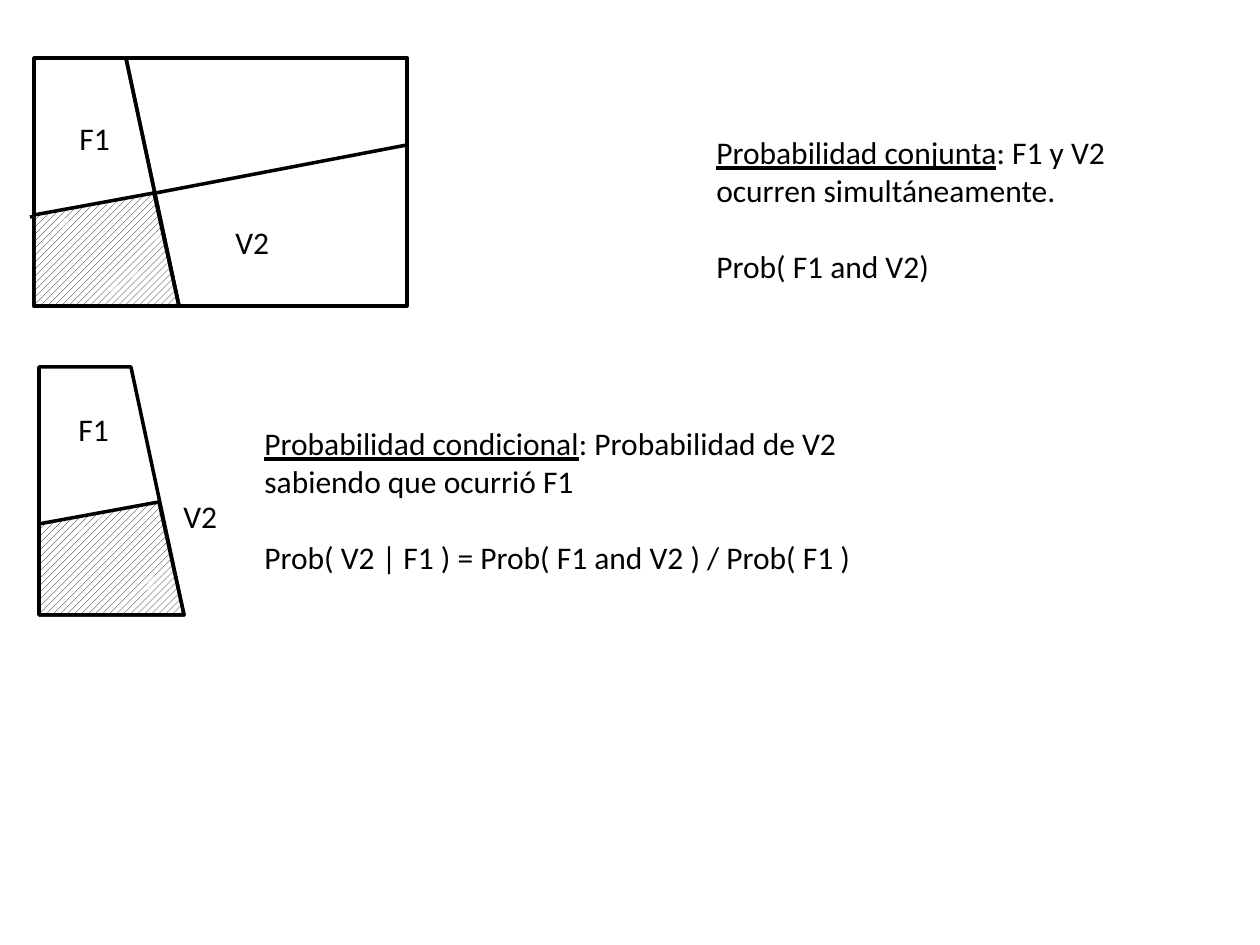
from dataclasses import dataclass

from lxml.etree import SubElement
from pptx import Presentation
from pptx.dml.color import RGBColor
from pptx.enum.dml import MSO_PATTERN
from pptx.enum.shapes import MSO_CONNECTOR, MSO_SHAPE
from pptx.enum.text import MSO_AUTO_SIZE
from pptx.oxml.ns import qn
from pptx.util import Emu, Inches, Pt

PX = Inches(1) // 126


@dataclass(frozen=True)
class Theme:
    ink: RGBColor = RGBColor(0, 0, 0)
    paper: RGBColor = RGBColor(255, 255, 255)
    font: str = "Calibri"
    text_size: Pt = Pt(18)
    blank_line: Pt = Pt(22)
    line_width: Pt = Pt(2)


THEME = Theme()

# Outlines relative to the top left corner of a diagram
F1_REGION = [(0, 0), (92, 0), (145, 248), (0, 248)]
F1_AND_V2_REGION = [(0, 157), (120, 135), (145, 248), (0, 248)]


def px(value):
    return Emu(value * PX)


def style_line(line):
    line.color.rgb = THEME.ink
    line.width = THEME.line_width


def style_font(paragraph):
    paragraph.font.name = THEME.font
    paragraph.font.size = THEME.text_size
    paragraph.font.color.rgb = THEME.ink


def add_line(slide, start, end):
    connector = slide.shapes.add_connector(
        MSO_CONNECTOR.STRAIGHT, *(px(value) for value in (*start, *end)))
    style_line(connector.line)
    SubElement(connector._element.spPr, qn("a:effectLst"))


def add_region(slide, left, top, points, hatched=False):
    builder = slide.shapes.build_freeform(*points[0], scale=PX)
    builder.add_line_segments(points[1:], close=True)
    shape = builder.convert_to_shape(px(left), px(top))
    shape.shadow.inherit = False
    style_line(shape.line)
    if hatched:
        shape.fill.patterned()
        shape.fill.pattern = MSO_PATTERN.WIDE_UPWARD_DIAGONAL
        shape.fill.fore_color.rgb = THEME.ink
        shape.fill.back_color.rgb = THEME.paper
    else:
        shape.fill.background()


def add_text_frame(slide, left, top, width, height, wrap):
    box = slide.shapes.add_textbox(px(left), px(top), px(width), px(height))
    box.text_frame.word_wrap = wrap
    box.text_frame.auto_size = MSO_AUTO_SIZE.SHAPE_TO_FIT_TEXT
    return box.text_frame


def add_label(slide, left, top, text):
    frame = add_text_frame(slide, left, top, 61, 50, wrap=False)
    paragraph = frame.paragraphs[0]
    paragraph.text = text
    style_font(paragraph)


def add_joint_diagram(slide, left, top, width, height):
    # Whole sample space
    frame = slide.shapes.add_shape(
        MSO_SHAPE.RECTANGLE, px(left), px(top), px(width), px(height))
    frame.shadow.inherit = False
    frame.fill.background()
    style_line(frame.line)
    # Dividing lines
    add_line(slide, (left + 92, top), (left + 145, top + height))
    add_line(slide, (left - 4, top + 159), (left + width, top + 87))
    # Regions and their labels
    add_region(slide, left, top, F1_AND_V2_REGION, hatched=True)
    add_region(slide, left, top, F1_REGION)
    add_label(slide, left + 33, top + 55, "F1")
    add_label(slide, left + 189, top + 159, "V2")


def add_conditional_diagram(slide, left, top):
    add_region(slide, left, top, F1_REGION)
    add_region(slide, left, top, F1_AND_V2_REGION, hatched=True)
    add_label(slide, left + 27, top + 37, "F1")
    add_label(slide, left + 132, top + 124, "V2")


def add_definition(slide, left, top, width, height, term, meaning, formula):
    frame = add_text_frame(slide, left, top, width, height, wrap=True)
    # Underlined term and its meaning
    definition = frame.paragraphs[0]
    term_run = definition.add_run()
    term_run.text = term
    term_run.font.underline = True
    definition.add_run().text = f": {meaning}"
    # Formula, one line apart
    formula_paragraph = frame.add_paragraph()
    formula_paragraph.text = formula
    formula_paragraph.space_before = THEME.blank_line
    for paragraph in frame.paragraphs:
        style_font(paragraph)


def main():
    presentation = Presentation()
    presentation.slide_width = px(1260)
    presentation.slide_height = px(945)
    slide = presentation.slides.add_slide(presentation.slide_layouts[6])

    # Joint probability
    add_joint_diagram(slide, 34, 58, 373, 248)
    add_definition(slide, 704, 127, 428, 165, "Probabilidad conjunta",
                   "F1 y V2 ocurren simultáneamente.", "Prob( F1 and V2)")

    # Conditional probability
    add_conditional_diagram(slide, 39, 367)
    add_definition(slide, 252, 418, 639, 165, "Probabilidad condicional",
                   "Probabilidad de V2 sabiendo que ocurrió F1",
                   "Prob( V2 | F1 ) = Prob( F1 and V2 ) / Prob( F1 )")

    presentation.save("out.pptx")


if __name__ == "__main__":
    main()
